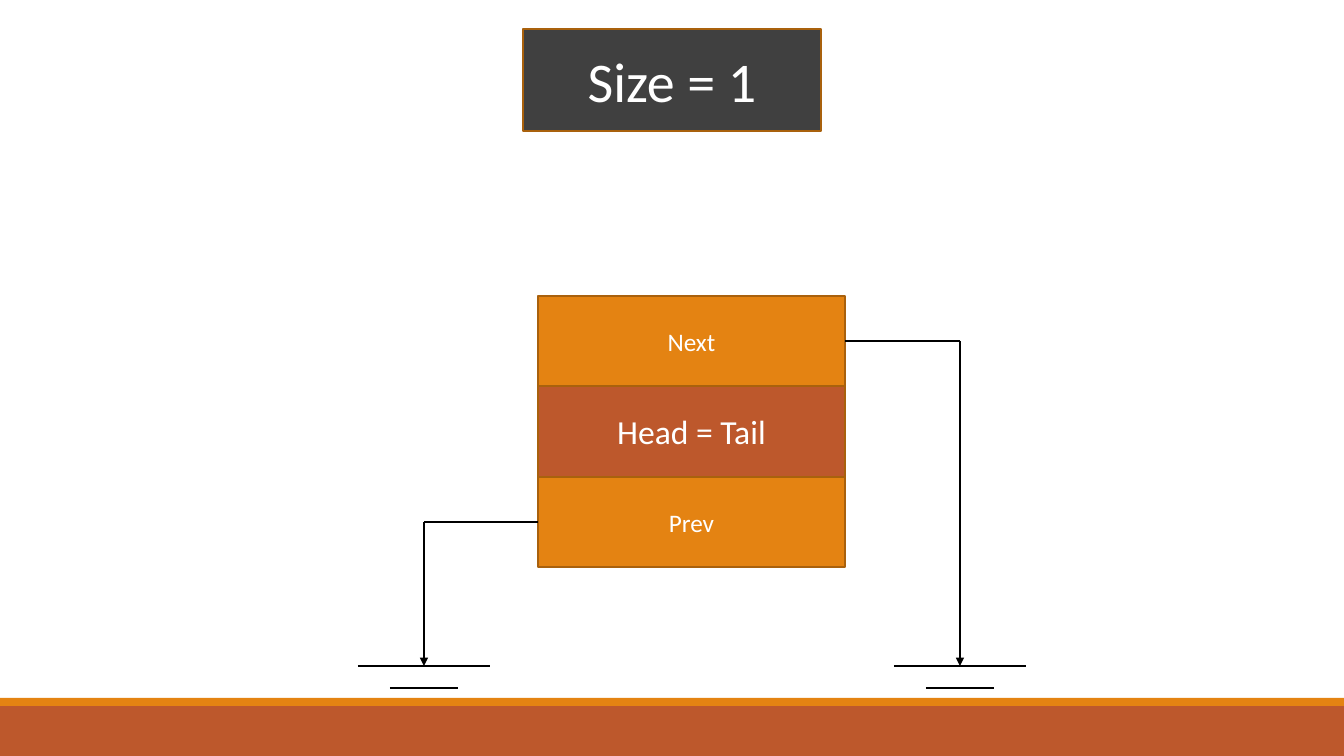
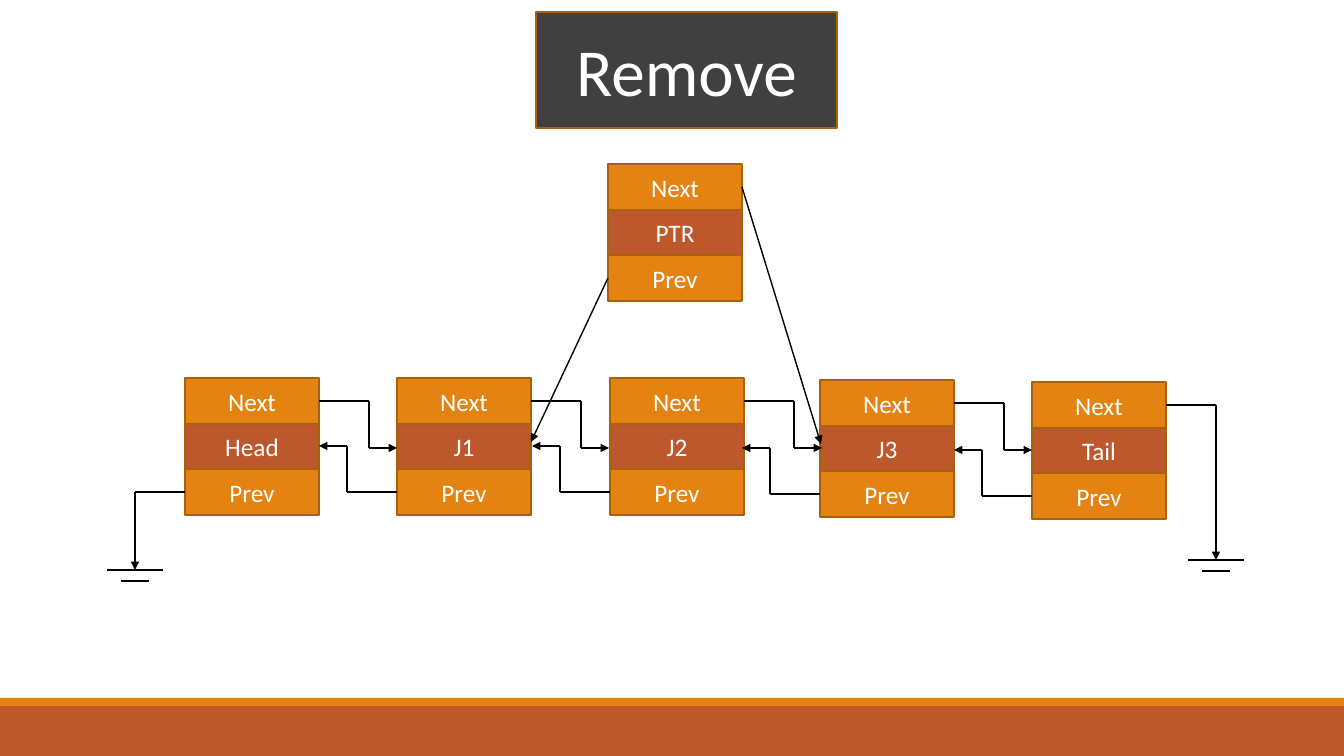
from dataclasses import dataclass

from lxml.etree import SubElement
from pptx import Presentation
from pptx.dml.color import RGBColor
from pptx.enum.shapes import MSO_CONNECTOR, MSO_SHAPE
from pptx.enum.text import MSO_ANCHOR, MSO_AUTO_SIZE, PP_ALIGN
from pptx.oxml.ns import qn
from pptx.presentation import Presentation as Deck
from pptx.shapes.autoshape import Shape
from pptx.slide import Slide
from pptx.util import Emu, Pt

Point = tuple[int, int]


@dataclass(frozen=True)
class Theme:
    font: str = "Calibri"
    rust: str = "BD582C"
    amber: str = "E48312"
    edge: str = "A9610D"
    dark: str = "404040"
    ink: str = "000000"
    white: str = "FFFFFF"
    label: int = 18
    large: int = 24
    title: int = 40
    huge: int = 48
    edge_pt: float = 1.25
    wire_pt: int = 1


THEME = Theme()
WIDTH, HEIGHT = 1344, 756
BEND, REACH = 50, 78  # from a cell's side to the turn, and to the next cell
IN_NEXT, IN_PREV = 70, 68  # height at which arrows meet a cell


@dataclass(frozen=True)
class Box:
    left: int
    top: int
    width: int
    height: int


@dataclass(frozen=True)
class Node:
    """A list cell of three rows: next, name, prev."""
    name: str
    box: Box
    size: int = THEME.label

    @property
    def right(self) -> int:
        return self.box.left + self.box.width

    def row(self, part: float) -> int:
        return self.box.top + round(part * self.box.height / 3)

    @property
    def next(self) -> Point:
        return self.right, self.row(0.5)

    @property
    def prev(self) -> Point:
        return self.box.left, self.row(2.5)


@dataclass(frozen=True)
class Ground:
    """The end mark: a long plate above a short one."""
    x: int
    y: int
    long: int
    short: int
    gap: int


def px(count: int) -> Emu:
    return Emu(round(count * 914400 / 100.8))


def paint(shape: Shape, fill: str, edge: str | None = None) -> None:
    shape.shadow.inherit = False
    shape.fill.solid()
    shape.fill.fore_color.rgb = RGBColor.from_string(fill)
    if edge:
        shape.line.color.rgb = RGBColor.from_string(edge)
        shape.line.width = Pt(THEME.edge_pt)
    else:
        shape.line.fill.background()


def write(shape: Shape, text: str, size: int) -> None:
    frame = shape.text_frame
    frame.text = text
    frame.word_wrap = True
    frame.auto_size = MSO_AUTO_SIZE.NONE
    frame.vertical_anchor = MSO_ANCHOR.MIDDLE
    line = frame.paragraphs[0]
    line.alignment = PP_ALIGN.CENTER
    font = line.runs[0].font
    font.name, font.size = THEME.font, Pt(size)
    font.color.rgb = RGBColor.from_string(THEME.white)


def block(slide: Slide, box: Box, fill: str, edge: str | None = None) -> Shape:
    shape = slide.shapes.add_shape(
        MSO_SHAPE.RECTANGLE,
        px(box.left), px(box.top), px(box.width), px(box.height))
    paint(shape, fill, edge)
    return shape


def trace(slide: Slide, *points: Point, arrow: bool = True) -> None:
    """Join the points with straight lines; the last may end in an arrow."""
    for start, end in zip(points, points[1:]):
        wire = slide.shapes.add_connector(
            MSO_CONNECTOR.STRAIGHT, *map(px, start + end))
        wire.line.color.rgb = RGBColor.from_string(THEME.ink)
        wire.line.width = Pt(THEME.wire_pt)
        props = wire.element.spPr
        if arrow and end == points[-1]:
            SubElement(props.find(qn("a:ln")), qn("a:tailEnd"), type="triangle")
        SubElement(props, qn("a:effectLst"))


def draw_node(slide: Slide, node: Node) -> None:
    rows = (("Next", THEME.amber, THEME.label),
            (node.name, THEME.rust, node.size),
            ("Prev", THEME.amber, THEME.label))
    for part, (text, fill, size) in enumerate(rows):
        top = node.row(part)
        box = Box(node.box.left, top, node.box.width, node.row(part + 1) - top)
        write(block(slide, box, fill, THEME.edge), text, size)


def draw_ground(slide: Slide, mark: Ground, start: Point) -> None:
    trace(slide, start, (mark.x, start[1]), (mark.x, mark.y))
    for half, y in ((mark.long, mark.y), (mark.short, mark.y + mark.gap)):
        trace(slide, (mark.x - half, y), (mark.x + half, y), arrow=False)


def link_next(slide: Slide, node: Node) -> None:
    x, y = node.next
    turn, low = x + BEND, node.box.top + IN_NEXT
    trace(slide, (x, y), (turn, y), (turn, low), (x + REACH, low))


def link_prev(slide: Slide, node: Node) -> None:
    x, y = node.prev
    turn, high = x - BEND, node.box.top + IN_PREV
    trace(slide, (x, y), (turn, y), (turn, high), (x - REACH, high))


def add_slide(deck: Deck, text: str, box: Box, size: int) -> Slide:
    slide = deck.slides.add_slide(deck.slide_layouts[5])
    title = slide.shapes.title
    title.left, title.top = px(box.left), px(box.top)
    title.width, title.height = px(box.width), px(box.height)
    paint(title, THEME.dark, THEME.edge)
    write(title, text, size)
    return slide


def add_bands(deck: Deck, slide: Slide) -> None:
    """Draw the foot bands, then hand them to the slide master."""
    bands = ((Box(0, 706, WIDTH, 50), THEME.rust),
             (Box(0, 698, WIDTH, 8), THEME.amber))
    for key, (box, fill) in enumerate(bands, 101):
        band = block(slide, box, fill)
        band.element.nvSpPr.cNvPr.set("id", str(key))
        deck.slide_master.shapes.element.append(band.element)


def draw_single(slide: Slide) -> None:
    node = Node("Head = Tail", Box(538, 296, 307, 271), THEME.large)
    draw_node(slide, node)
    draw_ground(slide, Ground(424, 666, 66, 34, 22), node.prev)
    draw_ground(slide, Ground(960, 666, 66, 34, 22), node.next)


def draw_chain(slide: Slide) -> None:
    # Cells of the list
    places = (("Head", 185, 378), ("J1", 397, 378), ("J2", 610, 378),
              ("J3", 820, 380), ("Tail", 1032, 382))
    nodes = [Node(name, Box(left, top, 134, 137)) for name, left, top in places]
    for node in nodes:
        draw_node(slide, node)

    # Links between neighbours
    for node in nodes[:-1]:
        link_next(slide, node)
    for node in nodes[1:]:
        link_prev(slide, node)

    # Both ends
    head, tail = nodes[0], nodes[-1]
    draw_ground(slide, Ground(head.box.left - BEND, 570, 28, 14, 11), head.prev)
    draw_ground(slide, Ground(tail.right + BEND, 560, 28, 14, 11), tail.next)

    # Pointer cell
    ptr = Node("PTR", Box(608, 164, 134, 137))
    draw_node(slide, ptr)
    trace(slide, ptr.next, (821, 444))
    trace(slide, ptr.prev, (531, 442))


def main() -> None:
    deck = Presentation()
    deck.slide_width, deck.slide_height = px(WIDTH), px(HEIGHT)

    first = add_slide(deck, "Size = 1", Box(523, 29, 298, 102), THEME.title)
    add_bands(deck, first)
    draw_single(first)

    second = add_slide(deck, "Remove", Box(536, 12, 301, 116), THEME.huge)
    draw_chain(second)
    deck.save("out.pptx")


if __name__ == "__main__":
    main()
